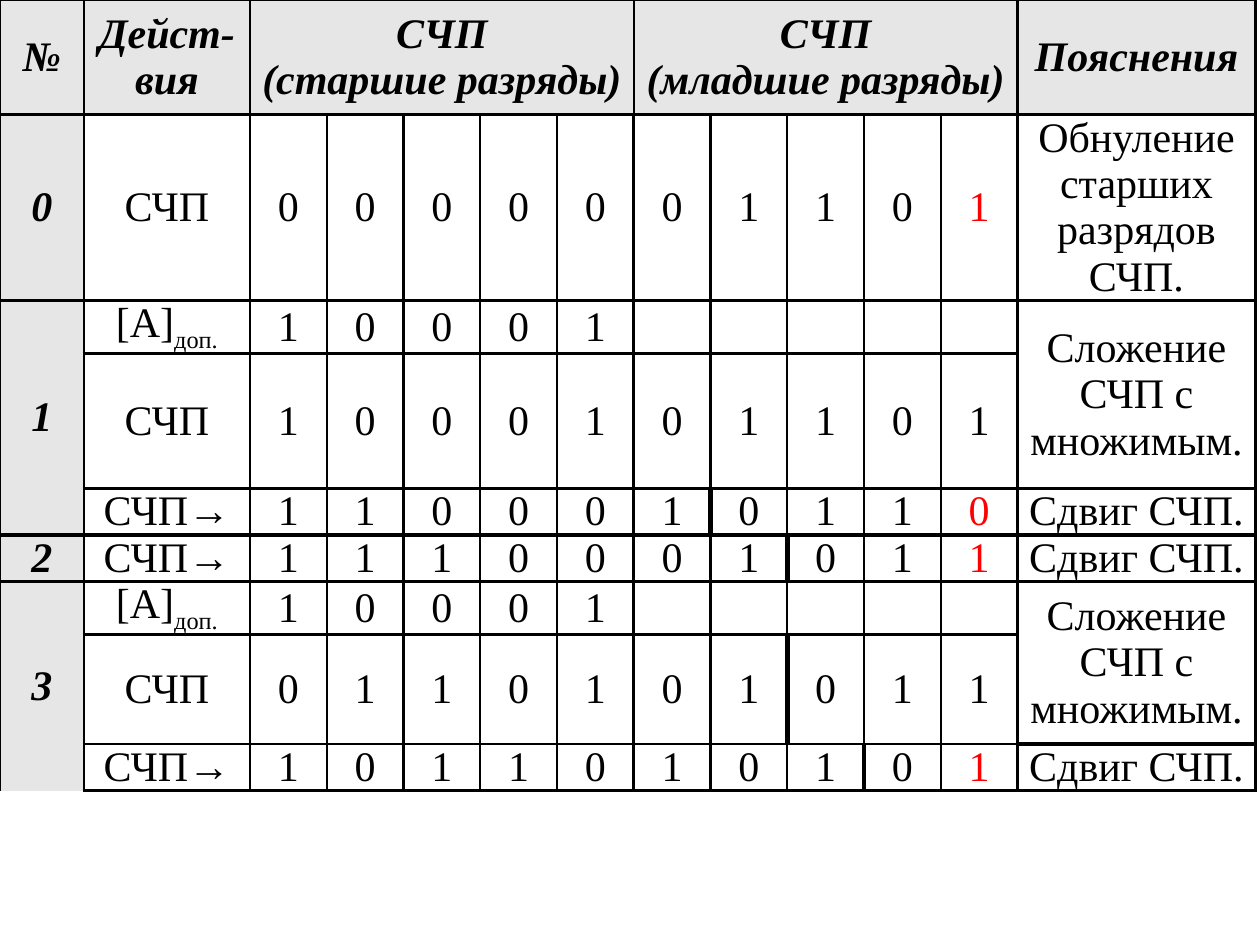
from dataclasses import dataclass
from typing import Optional

from lxml.etree import SubElement
from pptx import Presentation
from pptx.dml.color import RGBColor
from pptx.enum.text import MSO_ANCHOR as Anchor, PP_ALIGN as Align
from pptx.oxml.ns import qn
from pptx.util import Cm, Pt


@dataclass(frozen=True)
class Theme:
    font: str = "Times New Roman"
    size: float = 24
    ink: str = "000000"
    accent: str = "FF0000"
    header_fill: str = "E6E6E6"
    thin: float = 1.5
    medium: float = 2.25
    thick: float = 3


@dataclass(frozen=True)
class Operation:
    height: float
    action: str
    digits: str
    highlight_last: bool = False
    separator: Optional[int] = None
    subscript: str = ""


@dataclass(frozen=True)
class Block:
    row: int
    column: int
    text: str
    rows: int = 1
    columns: int = 1
    heading: bool = False


THEME = Theme()
DIGIT_COLUMNS = 10
FIRST_DIGIT = 2
MIDDLE = FIRST_DIGIT + DIGIT_COLUMNS // 2
NOTES = FIRST_DIGIT + DIGIT_COLUMNS
COLUMN_WIDTHS = [1.69, 3.35] + [15.47 / DIGIT_COLUMNS] * DIGIT_COLUMNS + [4.8]
HEADER_HEIGHT = 2.31
LINE_HEIGHT = 0.91
STEP_ENDS = {2, 5, 6, 9}
NO_STYLE = "{2D5ABB26-0587-4C30-8999-92F81FD0307C}"

OPERATIONS = [
    Operation(3.15, "СЧП", "0000001101", True),
    Operation(LINE_HEIGHT, "[A]", "10001", subscript="доп."),
    Operation(2.72, "СЧП", "1000101101"),
    Operation(LINE_HEIGHT, "СЧП→", "1100010110", True, 8),
    Operation(LINE_HEIGHT, "СЧП→", "1110001011", True, 9),
    Operation(LINE_HEIGHT, "[A]", "10001", subscript="доп."),
    Operation(2.21, "СЧП", "0110101011", separator=9),
    Operation(LINE_HEIGHT, "СЧП→", "1011010101", True, 10),
]

BLOCKS = [
    Block(0, 0, "№", heading=True),
    Block(0, 1, "Дейст-вия", heading=True),
    Block(0, FIRST_DIGIT, "СЧП\n(старшие разряды)", columns=5, heading=True),
    Block(0, MIDDLE, "СЧП\n(младшие разряды)", columns=5, heading=True),
    Block(0, NOTES, "Пояснения", heading=True),
    Block(1, 0, "0", heading=True),
    Block(2, 0, "1", rows=3, heading=True),
    Block(5, 0, "2", heading=True),
    Block(6, 0, "3", rows=3, heading=True),
    Block(1, NOTES, "Обнуление старших разрядов СЧП."),
    Block(2, NOTES, "Сложение СЧП с множимым.", rows=2),
    Block(4, NOTES, "Сдвиг СЧП."),
    Block(5, NOTES, "Сдвиг СЧП."),
    Block(6, NOTES, "Сложение СЧП с множимым.", rows=2),
    Block(8, NOTES, "Сдвиг СЧП."),
]


def add_run(paragraph, text: str, color: str = THEME.ink, heading: bool = False):
    run = paragraph.add_run()
    run.text = text
    run.font.name = THEME.font
    run.font.size = Pt(THEME.size)
    run.font.bold = run.font.italic = heading
    run.font.color.rgb = RGBColor.from_string(color)
    return run


def write_cell(cell, text: str, color: str = THEME.ink, heading: bool = False) -> None:
    frame = cell.text_frame
    for index, line in enumerate(text.split("\n")):
        paragraph = frame.add_paragraph() if index else frame.paragraphs[0]
        paragraph.alignment = Align.CENTER
        add_run(paragraph, line, color, heading)


def horizontal_weight(edge: int) -> float:
    return THEME.medium if edge in STEP_ENDS else THEME.thin


def vertical_weight(row: int, edge: int) -> float:
    if row and edge == OPERATIONS[row - 1].separator:
        return THEME.thick
    return THEME.medium if row and edge == MIDDLE else THEME.thin


def add_border(cell, side: str, weight: float) -> None:
    properties = cell._tc.get_or_add_tcPr()
    line = SubElement(properties, qn(f"a:ln{side}"), w=str(Pt(weight)))
    fill = SubElement(line, qn("a:solidFill"))
    SubElement(fill, qn("a:srgbClr"), val=THEME.ink)


def outline_area(table, top: int, left: int, rows: int, columns: int) -> None:
    bottom, right = top + rows, left + columns
    for row in range(top, bottom):
        for column in range(left, right):
            cell = table.cell(row, column)
            if column == left:
                add_border(cell, "L", vertical_weight(row, left))
            if column == right - 1:
                add_border(cell, "R", vertical_weight(row, right))
            if row == top:
                add_border(cell, "T", horizontal_weight(top))
            if row == bottom - 1:
                add_border(cell, "B", horizontal_weight(bottom))


def format_cell(cell, shaded: bool) -> None:
    cell.margin_left = cell.margin_right = Cm(0.13)
    cell.margin_top = cell.margin_bottom = 0
    cell.vertical_anchor = Anchor.MIDDLE
    if shaded:
        cell.fill.solid()
        cell.fill.fore_color.rgb = RGBColor.from_string(THEME.header_fill)
    else:
        cell.fill.background()


def draw_block(table, block: Block) -> None:
    cell = table.cell(block.row, block.column)
    if block.rows * block.columns > 1:
        cell.merge(table.cell(block.row + block.rows - 1, block.column + block.columns - 1))
    write_cell(cell, block.text, heading=block.heading)


def draw_operation(table, row: int, operation: Operation) -> None:
    action = table.cell(row, 1)
    write_cell(action, operation.action)
    if operation.subscript:
        run = add_run(action.text_frame.paragraphs[0], operation.subscript)
        run.font._element.set("baseline", "-25000")
        action.vertical_anchor = Anchor.TOP
    for index, digit in enumerate(operation.digits):
        highlighted = operation.highlight_last and index == DIGIT_COLUMNS - 1
        color = THEME.accent if highlighted else THEME.ink
        write_cell(table.cell(row, FIRST_DIGIT + index), digit, color)


def draw_table(slide) -> None:
    heights = [HEADER_HEIGHT] + [operation.height for operation in OPERATIONS]
    table_shape = slide.shapes.add_table(
        len(heights), len(COLUMN_WIDTHS), 0, 0, Cm(sum(COLUMN_WIDTHS)), Cm(sum(heights)))
    table = table_shape.table
    table.first_row = table.horz_banding = False
    table._tbl.tblPr.find(qn("a:tableStyleId")).text = NO_STYLE
    for column, width in zip(table.columns, COLUMN_WIDTHS):
        column.width = Cm(width)
    for row, height in zip(table.rows, heights):
        row.height = Cm(height)

    for block in BLOCKS:
        draw_block(table, block)
        outline_area(table, block.row, block.column, block.rows, block.columns)
    for row in range(1, len(heights)):
        for column in range(1, NOTES):
            outline_area(table, row, column, 1, 1)
    for row in range(len(heights)):
        for column in range(len(COLUMN_WIDTHS)):
            format_cell(table.cell(row, column), row == 0 or column == 0)
    for row, operation in enumerate(OPERATIONS, start=1):
        draw_operation(table, row, operation)


def main() -> None:
    presentation = Presentation()
    presentation.slide_width = Cm(25.4)
    presentation.slide_height = Cm(19.05)
    slide = presentation.slides.add_slide(presentation.slide_layouts[6])
    draw_table(slide)
    presentation.save("out.pptx")


if __name__ == "__main__":
    main()
